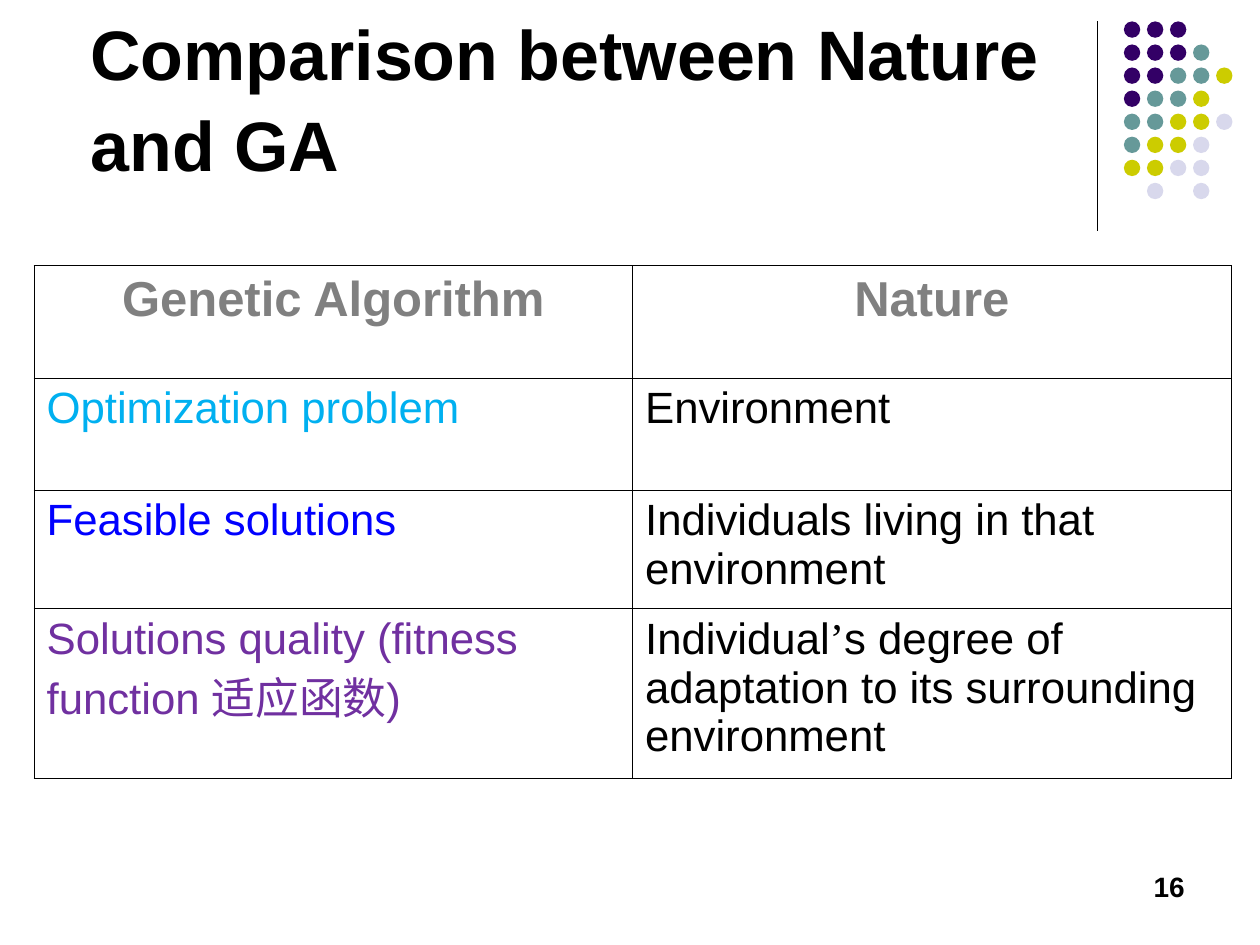
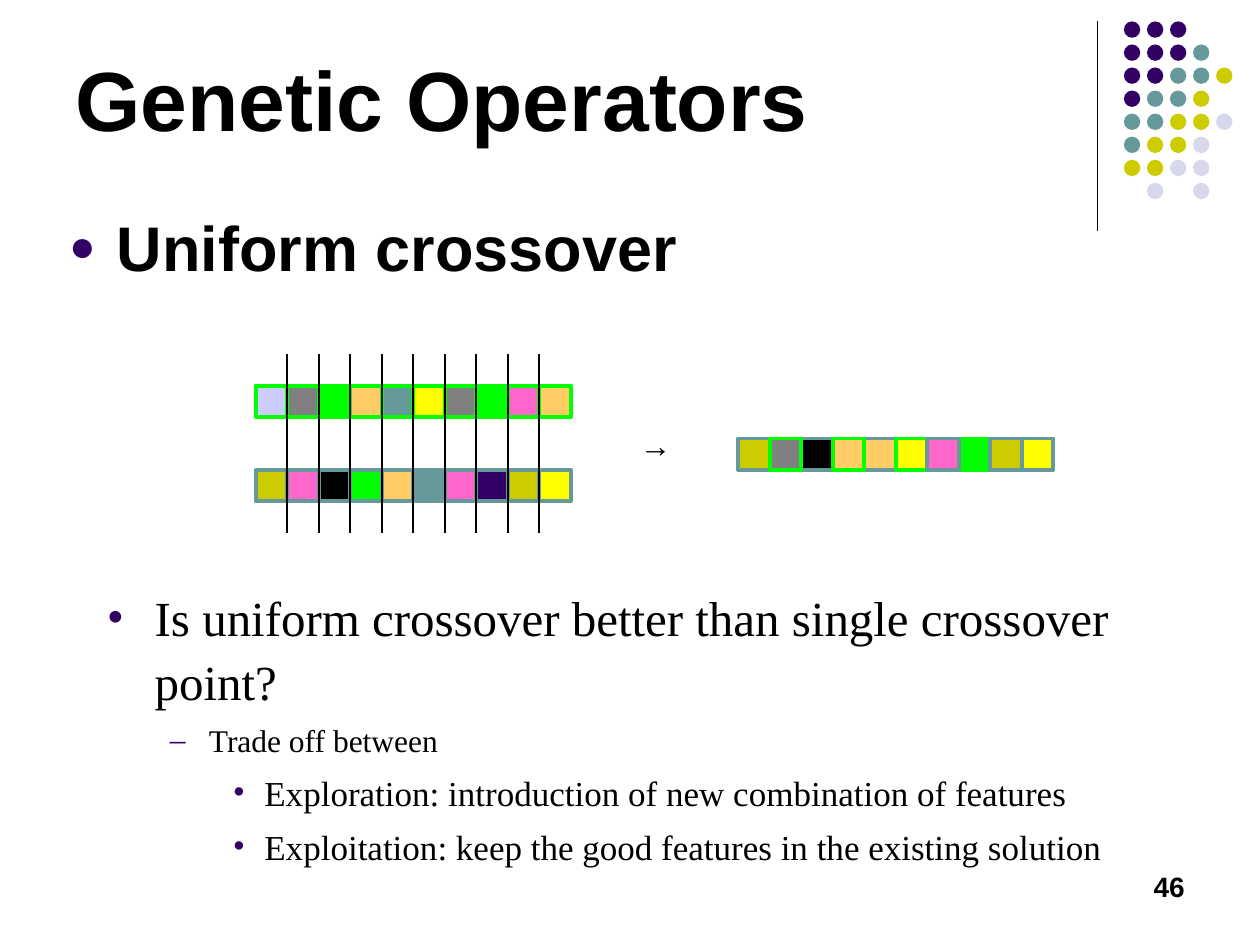
import dataclasses

import lxml.etree
import pptx
import pptx.dml.color
import pptx.enum.shapes
import pptx.enum.text
import pptx.oxml.ns
import pptx.util

Inches = pptx.util.Inches
qualified = pptx.oxml.ns.qn
Align = pptx.enum.text.PP_ALIGN
Anchor = pptx.enum.text.MSO_ANCHOR
ShapeKind = pptx.enum.shapes.MSO_SHAPE


@dataclasses.dataclass(frozen=True)
class Theme:
    black: str = "000000"
    white: str = "FFFFFF"
    gray: str = "808080"
    purple: str = "330066"
    teal: str = "669999"
    olive: str = "CCCC00"
    mist: str = "D8D8EC"
    lavender: str = "CCCCFF"
    pink: str = "FF66CC"
    green: str = "00FF00"
    orange: str = "FFCC66"
    yellow: str = "FFFF00"
    sky: str = "00B0F0"
    blue: str = "0000FF"
    violet: str = "7030A0"
    sans: str = "Arial"
    serif: str = "Times New Roman"
    title_size: int = 48
    long_title_size: int = 40
    heading_size: int = 36
    question_size: int = 28
    header_size: int = 28
    cell_size: int = 25
    detail_size: int = 20
    small_size: int = 18
    page_size: int = 16
    box_spacing: float = 1.08


theme = Theme()


def write_text(frame, text, size, color=theme.black, font=theme.sans, bold=False,
               align=Align.LEFT, before=0, spacing=None, level=0, bullet=None,
               bullet_percent=100, indent=0, hanging=0):
    """Write one paragraph; text may be a list of (text, font) pieces."""
    paragraph = frame.paragraphs[0]
    if paragraph.runs:
        paragraph = frame.add_paragraph()
    paragraph.alignment = align
    paragraph.level = level
    paragraph.space_before = pptx.util.Pt(before)
    if spacing:
        paragraph.line_spacing = spacing
    if bullet:
        properties = paragraph._p.get_or_add_pPr()
        properties.set("marL", str(Inches(indent)))
        properties.set("indent", str(-Inches(hanging)))
        bullet_color = lxml.etree.SubElement(properties, qualified("a:buClr"))
        lxml.etree.SubElement(bullet_color, qualified("a:srgbClr"), val=theme.purple)
        lxml.etree.SubElement(properties, qualified("a:buSzPct"),
                              val=str(bullet_percent * 1000))
        lxml.etree.SubElement(properties, qualified("a:buFont"), typeface=font)
        lxml.etree.SubElement(properties, qualified("a:buChar"), char=bullet)
    pieces = [(text, font)] if isinstance(text, str) else text
    for piece, piece_font in pieces:
        run = paragraph.add_run()
        run.text = piece
        run.font.name = piece_font
        run.font.size = pptx.util.Pt(size)
        run.font.bold = bold
        run.font.color.rgb = pptx.dml.color.RGBColor.from_string(color)


def draw_shape(slide, kind, left, top, size, fill, outline=None):
    """Draw a square-framed shape with a flat fill."""
    shape = slide.shapes.add_shape(kind, Inches(left), Inches(top),
                                   Inches(size), Inches(size))
    shape.shadow.inherit = False
    shape.fill.solid()
    shape.fill.fore_color.rgb = pptx.dml.color.RGBColor.from_string(fill)
    if outline:
        shape.line.color.rgb = pptx.dml.color.RGBColor.from_string(outline)
        shape.line.width = pptx.util.Pt(2.25)
    else:
        shape.line.fill.background()


presentation = pptx.Presentation()
presentation.slide_width = Inches(10)
presentation.slide_height = Inches(7.5)
blank_layout = presentation.slide_layouts[6]
comparison_slide = presentation.slides.add_slide(blank_layout)
operators_slide = presentation.slides.add_slide(blank_layout)
slides = (comparison_slide, operators_slide)

# Dot pattern in the top right corner
dot_colors = {"P": theme.purple, "T": theme.teal, "O": theme.olive, "M": theme.mist}
dot_rows = ("PPP", "PPPT", "PPTTO", "PTTO", "TTOOM", "TOOM", "OOMM", ".M.M")
dot_step = 0.183
for slide in slides:
    for row, letters in enumerate(dot_rows):
        for column, letter in enumerate(letters):
            if letter in dot_colors:
                draw_shape(slide, ShapeKind.OVAL, 8.92 + column * dot_step,
                           0.17 + row * dot_step, 0.13, dot_colors[letter])

# Chromosomes: two parents and their child
gene_size = 0.25
gene_colors = {"L": theme.lavender, "S": theme.gray, "G": theme.green,
               "R": theme.orange, "T": theme.teal, "Y": theme.yellow,
               "K": theme.pink, "O": theme.olive, "B": theme.black,
               "P": theme.purple}
left_to_right = range(10)
child_order = (0, 2, 4, 1, 3, 5, 7, 6, 8, 9)
chromosomes = (
    (2.03, 3.73, "OKBGRTKPOY", "TTTTTTTTTT", left_to_right),
    (2.03, 3.06, "LSGRTYSGKR", "GGGGGGGGGG", left_to_right),
    (5.86, 3.48, "OSBRRYKGOY", "TGTGTGTGTT", child_order),
)
for left, top, genes, outlines, order in chromosomes:
    for index in order:
        draw_shape(operators_slide, ShapeKind.RECTANGLE, left + index * gene_size, top,
                   gene_size, gene_colors[genes[index]], gene_colors[outlines[index]])

# Vertical lines: title dividers and crossover cuts
vertical_lines = [(slide, 8.71, 0.17, 1.83, 0.75) for slide in slides]
vertical_lines += [(operators_slide, 2.03 + cut * gene_size, 2.81, 4.23, 1)
                   for cut in range(1, 10)]
for slide, x, top, bottom, width in vertical_lines:
    line = slide.shapes.add_connector(pptx.enum.shapes.MSO_CONNECTOR.STRAIGHT,
                                      Inches(x), Inches(top), Inches(x), Inches(bottom))
    line.line.color.rgb = pptx.dml.color.RGBColor.from_string(theme.black)
    line.line.width = pptx.util.Pt(width)
    lxml.etree.SubElement(line._element.spPr, qualified("a:effectLst"))

# Text boxes: titles, page numbers, arrow and bulleted text
page_box = (7.17, 6.83, 2.33, 0.5)
title_format = dict(bold=True)
page_format = dict(size=theme.page_size, bold=True, align=Align.RIGHT)
detail_format = dict(size=theme.detail_size, font=theme.serif, before=5, level=2,
                     bullet="•", indent=1.25, hanging=0.25)
text_boxes = (
    (comparison_slide, (0.62, 0.23, 7.81, 1.29), Anchor.BOTTOM, True, [
        ("Comparison between Nature and GA",
         dict(title_format, size=theme.long_title_size))]),
    (comparison_slide, page_box, Anchor.TOP, True, [("16", page_format)]),
    (operators_slide, (0.5, 0.13, 8.25, 1.1), Anchor.BOTTOM, True, [
        ("Genetic Operators", dict(title_format, size=theme.title_size))]),
    (operators_slide, (0.45, 1.56, 9.02, 0.92), Anchor.TOP, True, [
        ("Uniform crossover",
         dict(size=theme.heading_size, bold=True, bullet="●", bullet_percent=70,
              indent=0.38, hanging=0.38))]),
    (operators_slide, (4.98, 3.31, 0.45, 0.4), Anchor.TOP, False, [
        ("→", dict(size=theme.small_size))]),
    (operators_slide, (0.75, 4.58, 8.5, 2.25), Anchor.TOP, True, [
        ("Is uniform crossover better than single crossover point?",
         dict(size=theme.question_size, font=theme.serif, bullet="•",
              indent=0.38, hanging=0.38)),
        ("Trade off between",
         dict(size=theme.small_size, font=theme.serif, before=4.5, level=1,
              bullet="–", indent=0.81, hanging=0.31)),
        ("Exploration: introduction of new combination of features", detail_format),
        ("Exploitation: keep the good features in the existing solution",
         detail_format)]),
    (operators_slide, page_box, Anchor.TOP, True, [("46", page_format)]),
)
for slide, place, anchor, wrap, paragraphs in text_boxes:
    frame = slide.shapes.add_textbox(*map(Inches, place)).text_frame
    frame.word_wrap = wrap
    frame.vertical_anchor = anchor
    for text, text_format in paragraphs:
        write_text(frame, text, spacing=theme.box_spacing, **text_format)

# Comparison table
header_format = dict(size=theme.header_size, color=theme.gray, bold=True,
                     align=Align.CENTER)
cell_format = dict(size=theme.cell_size)
table_rows = (
    (0.89, ("Genetic Algorithm", header_format), ("Nature", header_format)),
    (0.89, ("Optimization problem", dict(cell_format, color=theme.sky)),
     ("Environment", cell_format)),
    (0.94, ("Feasible solutions", dict(cell_format, color=theme.blue)),
     ("Individuals living in that environment", cell_format)),
    (1.35, ("Solutions quality (fitness function 适应函数)",
            dict(cell_format, color=theme.violet)),
     ([("Individual", theme.sans), ("’", theme.serif),
       ("s degree of adaptation to its surrounding environment", theme.sans)],
      cell_format)),
)
table = comparison_slide.shapes.add_table(
    len(table_rows), 2, Inches(0.27), Inches(2.11), Inches(9.5), Inches(4.07)).table
table.first_row = False
table.horz_banding = False
for column in table.columns:
    column.width = Inches(4.75)
for row_index, (height, *entries) in enumerate(table_rows):
    table.rows[row_index].height = Inches(height)
    for column_index, (text, text_format) in enumerate(entries):
        cell = table.cell(row_index, column_index)
        write_text(cell.text_frame, text, **text_format)
        cell_properties = cell._tc.get_or_add_tcPr()
        for side in ("lnL", "lnR", "lnT", "lnB"):
            border = lxml.etree.SubElement(cell_properties, qualified("a:" + side),
                                           w=str(pptx.util.Pt(0.45)))
            border_fill = lxml.etree.SubElement(border, qualified("a:solidFill"))
            lxml.etree.SubElement(border_fill, qualified("a:srgbClr"), val=theme.black)
        cell.fill.solid()
        cell.fill.fore_color.rgb = pptx.dml.color.RGBColor.from_string(theme.white)

presentation.save("out.pptx")
